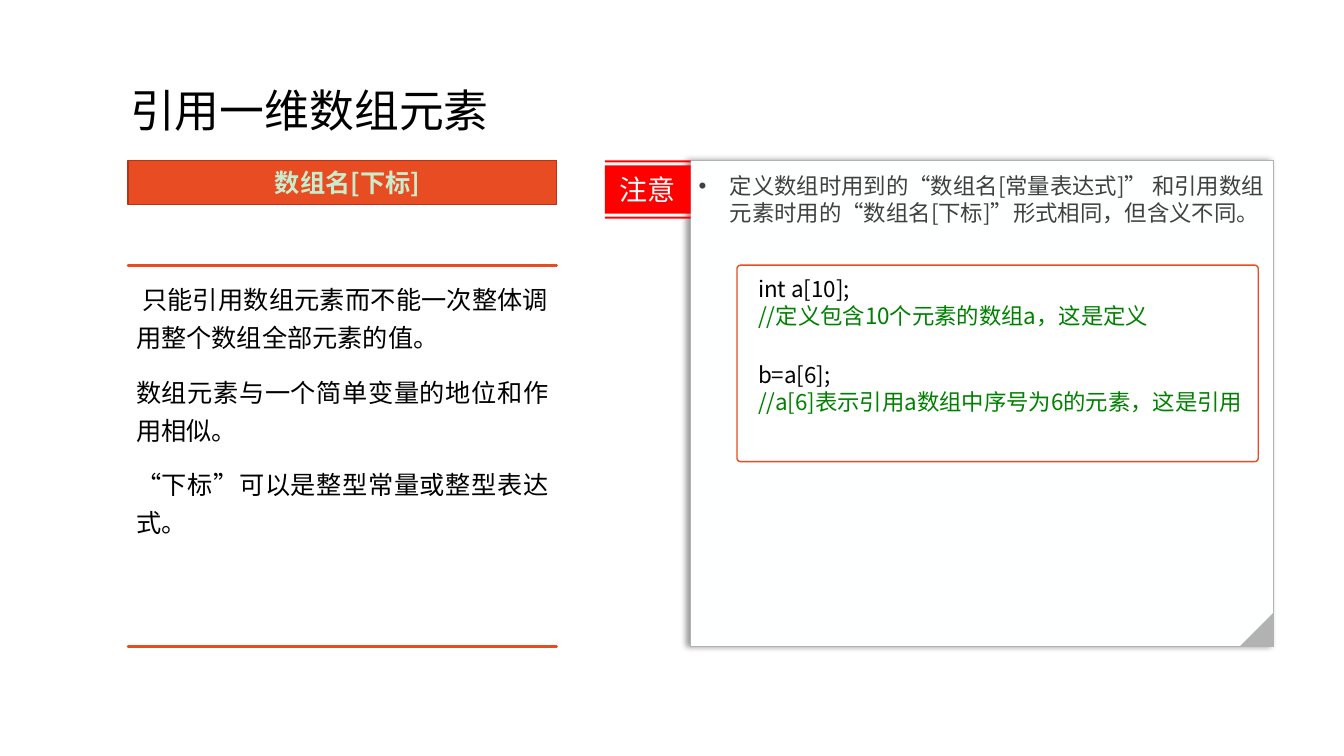
from lxml import etree
from pptx import Presentation
from pptx.dml.color import RGBColor
from pptx.enum import shapes, text
from pptx.oxml import ns, parse_xml
from pptx.util import Inches, Pt

FONT = "Noto Sans CJK SC"
COLORS = {
    "page": "FFFFFF", "panel": "FEFFFF", "accent": "E84C22", "edge": "AC3819",
    "pale": "C7EDCC", "red": "FF0000", "gray": "B2B2B2", "body": "404040",
    "ink": "000000", "comment": "008000",
}
LEFT, TOP, MIDDLE, BOTTOM = 1.27, 1.59, 2.63, 6.41
COLUMN = 4.25
PANEL_LEFT, PANEL_WIDTH = 6.85, 5.78
ALIGN, ANCHOR = text.PP_ALIGN, text.MSO_ANCHOR
SHAPE = shapes.MSO_SHAPE


def rgb(name):
    return RGBColor.from_string(COLORS[name])


def place(s, left, top, width, height):
    s.left, s.top, s.width, s.height = map(Inches, (left, top, width, height))


def style(s, fill=None, line=None, width=1):
    if fill:
        s.fill.solid()
        s.fill.fore_color.rgb = rgb(fill)
    else:
        s.fill.background()
    if line:
        s.line.color.rgb = rgb(line)
        s.line.width = Pt(width)
    else:
        s.line.fill.background()


def add_box(slide, kind, box, **look):
    s = slide.shapes.add_shape(kind, *map(Inches, box))
    s.shadow.inherit = False
    style(s, **look)
    return s


def add_outline(slide, contours, **look):
    """Draw closed contours, given in inches, as one shape."""
    builder = None
    for contour in contours:
        points = [(Inches(x), Inches(y)) for x, y in contour]
        if builder is None:
            builder = slide.shapes.build_freeform(*points[0])
        else:
            builder.move_to(*points[0])
        builder.add_line_segments(points[1:], close=True)
    s = builder.convert_to_shape()
    s.shadow.inherit = False
    style(s, **look)
    return s


def write(s, lines, size, insets=(0.1, 0.05, 0.1, 0.05), anchor=ANCHOR.TOP,
          bold=False, **para):
    """Fill a shape with (wording, colour) paragraphs."""
    tf = s.text_frame
    frame = dict(word_wrap=True, auto_size=text.MSO_AUTO_SIZE.NONE, vertical_anchor=anchor)
    sides = ("margin_left", "margin_top", "margin_right", "margin_bottom")
    frame.update(zip(sides, map(Inches, insets)))
    for name, value in frame.items():
        setattr(tf, name, value)
    for i, (wording, color) in enumerate(lines):
        p = tf.paragraphs[0] if i == 0 else tf.add_paragraph()
        for name, value in para.items():
            setattr(p, name, value)
        if i == 0:
            p.space_before = Pt(0)
        r = p.add_run()
        r.text = wording
        for name, value in dict(name=FONT, size=Pt(size), bold=bold).items():
            setattr(r.font, name, value)
        r.font.color.rgb = rgb(color)
        etree.SubElement(r.font._element, ns.qn("a:ea"), typeface=FONT)
    return tf.paragraphs


def add_bullet(p, indent):
    pPr = p._p.get_or_add_pPr()
    pPr.set("marL", str(Inches(indent)))
    pPr.set("indent", str(-Inches(indent)))
    etree.SubElement(pPr, ns.qn("a:buChar"), char="•")


def add_shadow(s):
    s._element.spPr.append(parse_xml(
        f'<a:effectLst {ns.nsdecls("a")}><a:outerShdw blurRad="{Pt(4)}" dist="{Pt(3)}" '
        f'dir="10800000"><a:srgbClr val="{COLORS["ink"]}"><a:alpha val="40000"/>'
        '</a:srgbClr></a:outerShdw></a:effectLst>'))


def add_rules_with_text(slide):
    rules = [[(LEFT, y), (LEFT + COLUMN, y)] for y in (BOTTOM, MIDDLE)]
    s = add_outline(slide, rules, line="accent", width=2)
    notes = ("只能引用数组元素而不能一次整体调用整个数组全部元素的值。",
             "数组元素与一个简单变量的地位和作用相似。",
             "“下标”可以是整型常量或整型表达式。")
    paragraphs = write(s, [(note, "ink") for note in notes], 18, (0.08, 0.12, 0.08, 0.08),
                       alignment=ALIGN.JUSTIFY, line_spacing=1.25,
                       space_before=Pt(6), space_after=Pt(6))
    paragraphs[0]._p.get_or_add_pPr().set("indent", str(Inches(0.06)))


def add_notice_tag(slide):
    left, right = 6, PANEL_LEFT
    bands = [[(left, y1), (right, y1), (right, y2), (left, y2)]
             for y1, y2 in ((2.15, 2.17), (1.64, 2.12), (1.59, 1.61))]
    s = add_outline(slide, bands, fill="red")
    write(s, [("注意", "panel")], 20, anchor=ANCHOR.MIDDLE, alignment=ALIGN.CENTER)


def fill_panel(slide, panel):
    place(panel, PANEL_LEFT, TOP, PANEL_WIDTH, BOTTOM - TOP)
    style(panel, fill="panel", line="gray", width=0.75)
    add_shadow(panel)
    wording = ("定义数组时用到的“数组名[常量表达式]” 和引用数组元素时用的"
               "“数组名[下标]”形式相同，但含义不同。")
    paragraphs = write(panel, [(wording, "body")], 16, (0.08, 0.12, 0.08, 0.08),
                       line_spacing=1.0, space_after=Pt(6))
    add_bullet(paragraphs[0], 0.31)
    fold = 0.33
    corner = (PANEL_LEFT + PANEL_WIDTH - fold, BOTTOM - fold, fold, fold)
    add_box(slide, SHAPE.RIGHT_TRIANGLE, corner, fill="gray").rotation = 270


def add_code(slide):
    s = add_box(slide, SHAPE.ROUNDED_RECTANGLE, (7.31, MIDDLE, 5.17, 1.95),
                fill="page", line="accent")
    s.adjustments[0] = 0.018
    lines = [("int a[10];", "ink"),
             ("//定义包含10个元素的数组a，这是定义", "comment"),
             ("b=a[6];", "ink"),
             ("//a[6]表示引用a数组中序号为6的元素，这是引用", "comment")]
    paragraphs = write(s, lines, 16, (0.2, 0.09, 0.1, 0.05),
                       alignment=ALIGN.LEFT, line_spacing=1.0)
    paragraphs[2].space_before = Pt(23)


def main():
    prs = Presentation()
    prs.slide_width, prs.slide_height = Inches(13.33), Inches(7.5)
    slide = prs.slides.add_slide(prs.slide_layouts[1])
    slide.background.fill.solid()
    slide.background.fill.fore_color.rgb = rgb("page")
    title, panel = slide.placeholders

    place(title, 1.19, 0.4, 6.48, 1.45)
    write(title, [("引用一维数组元素", "ink")], 32, anchor=ANCHOR.MIDDLE,
          alignment=ALIGN.LEFT, line_spacing=0.9)
    header = add_box(slide, SHAPE.RECTANGLE, (LEFT, TOP, COLUMN, 0.44),
                     fill="accent", line="edge")
    write(header, [("数组名[下标]", "pale")], 18, (0.2, 0.05, 0.1, 0.05),
          ANCHOR.MIDDLE, bold=True, alignment=ALIGN.CENTER)
    add_rules_with_text(slide)
    add_notice_tag(slide)
    fill_panel(slide, panel)
    add_code(slide)
    prs.save("out.pptx")


if __name__ == "__main__":
    main()
